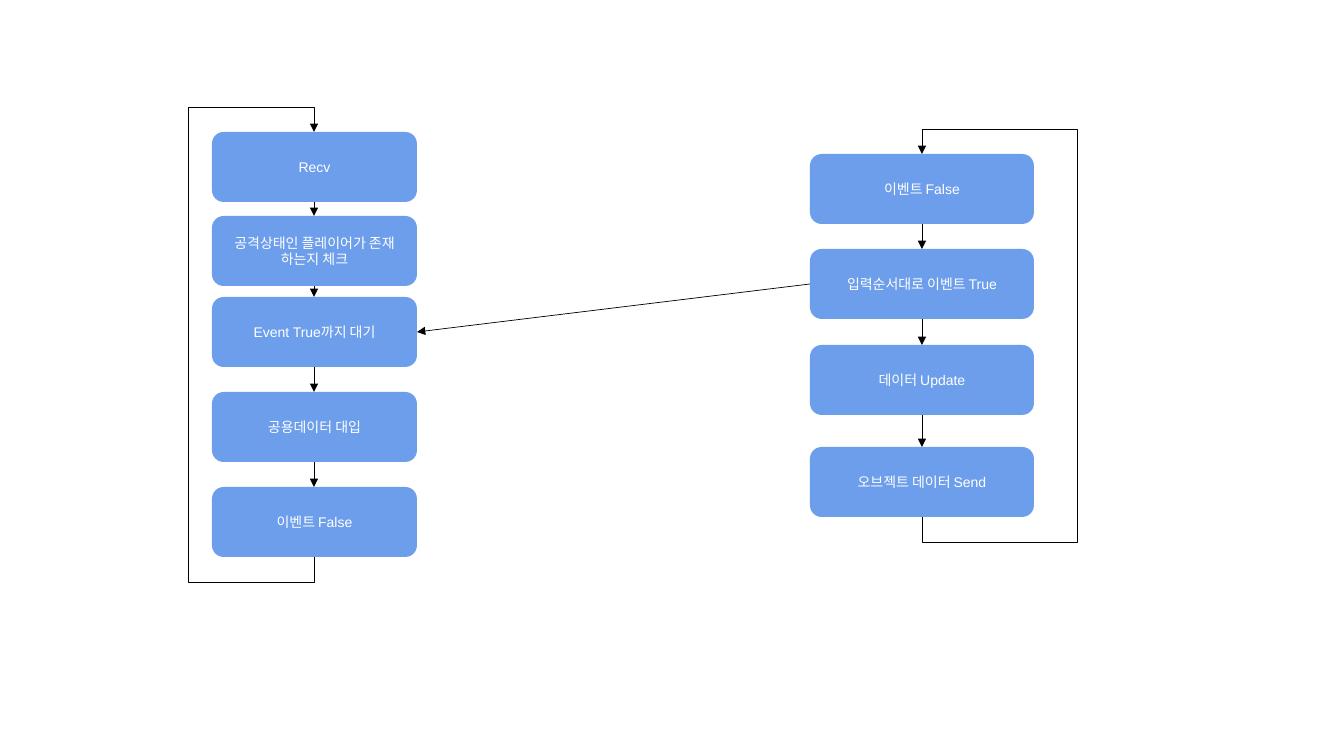
from pptx import Presentation
from pptx.dml.color import RGBColor
from pptx.enum.shapes import MSO_CONNECTOR, MSO_SHAPE
from pptx.enum.text import MSO_ANCHOR, PP_ALIGN
from pptx.oxml.ns import qn
from pptx.util import Emu, Pt
from lxml import etree

ROUNDED = MSO_SHAPE.ROUNDED_RECTANGLE
STRAIGHT = MSO_CONNECTOR.STRAIGHT
MIDDLE = MSO_ANCHOR.MIDDLE
CENTER = PP_ALIGN.CENTER

PIXEL = 914400 / 100.8
PAGE_SIZE = (1344, 756)
STEP_HEIGHT = 70
PADDING = 10
LOOP_GAP = 25

THEME = {
    "step": RGBColor(0x6D, 0x9E, 0xEB),
    "text": RGBColor(0xFF, 0xFF, 0xFF),
    "line": RGBColor(0, 0, 0),
    "font": "Arial",
    "size": Pt(10),
    "line_width": Pt(0.5),
}

# Each flow: left edge, width, x of its return loop, and steps as (top, text)
FLOWS = {
    "receive": {
        "left": 212, "width": 205, "loop_x": 188,
        "steps": [
            (132, "Recv"),
            (216, "공격상태인 플레이어가 존재\n하는지 체크"),
            (297, "Event True까지 대기"),
            (392, "공용데이터 대입"),
            (487, "이벤트 False"),
        ],
    },
    "send": {
        "left": 810, "width": 224, "loop_x": 1077,
        "steps": [
            (154, "이벤트 False"),
            (249, "입력순서대로 이벤트 True"),
            (345, "데이터 Update"),
            (447, "오브젝트 데이터 Send"),
        ],
    },
}
SIGNAL = {"from": ("send", 1), "to": ("receive", 2)}


def emu(pixels):
    """Turn pixels into EMU."""
    return Emu(round(pixels * PIXEL))


def set_all(target, values):
    """Set every attribute named in a dict."""
    for name, value in values.items():
        setattr(target, name, value)


def add_step(page, left, top, width, text):
    """Add one rounded step box with centred text."""
    box = page.shapes.add_shape(
        ROUNDED, emu(left), emu(top), emu(width), emu(STEP_HEIGHT))
    box.shadow.inherit = False
    box.fill.solid()
    box.fill.fore_color.rgb = THEME["step"]
    box.line.fill.background()
    frame = box.text_frame
    frame.text = text
    margins = ("margin_left", "margin_top", "margin_right", "margin_bottom")
    set_all(frame, dict.fromkeys(margins, emu(PADDING)))
    set_all(frame, {"word_wrap": True, "vertical_anchor": MIDDLE})
    for para in frame.paragraphs:
        para.alignment = CENTER
        set_all(para.font, {"name": THEME["font"], "size": THEME["size"]})
        para.font.color.rgb = THEME["text"]


def style_arrow(arrow):
    """Give a line its colour, width and arrowhead, without a shadow."""
    arrow.line.color.rgb = THEME["line"]
    arrow.line.width = THEME["line_width"]
    properties = arrow._element.spPr
    head = etree.SubElement(properties.find(qn("a:ln")), qn("a:tailEnd"))
    head.set("type", "triangle")
    if properties.find(qn("a:effectLst")) is None:
        etree.SubElement(properties, qn("a:effectLst"))


def add_arrow(page, start, end):
    """Add a straight arrow between two points."""
    points = [emu(value) for value in (*start, *end)]
    style_arrow(page.shapes.add_connector(STRAIGHT, *points))


def add_loop(page, center, top, bottom, loop_x):
    """Add the arrow that returns from the last step to the first."""
    builder = page.shapes.build_freeform(center, bottom, scale=PIXEL)
    low, high = bottom + LOOP_GAP, top - LOOP_GAP
    corners = [(center, low), (loop_x, low), (loop_x, high),
               (center, high), (center, top)]
    builder.add_line_segments(corners, close=False)
    loop = builder.convert_to_shape()
    loop.fill.background()
    style_arrow(loop)


def add_flow(page, flow):
    """Add a column of steps, the arrows between them and the loop."""
    left, width, steps = flow["left"], flow["width"], flow["steps"]
    center = left + width // 2
    tops = [top for top, _ in steps]
    for top, text in steps:
        add_step(page, left, top, width, text)
    for upper, lower in zip(tops, tops[1:]):
        add_arrow(page, (center, upper + STEP_HEIGHT), (center, lower))
    add_loop(page, center, tops[0], tops[-1] + STEP_HEIGHT, flow["loop_x"])


def step_middle(flow, index):
    """Return the height of the middle of a step."""
    return flow["steps"][index][0] + STEP_HEIGHT // 2


def add_signal(page):
    """Add the arrow from the sending flow to the waiting step."""
    (source_name, source_step), (target_name, target_step) = SIGNAL.values()
    source, target = FLOWS[source_name], FLOWS[target_name]
    add_arrow(page,
              (source["left"], step_middle(source, source_step)),
              (target["left"] + target["width"],
               step_middle(target, target_step)))


deck = Presentation()
deck.slide_width, deck.slide_height = map(emu, PAGE_SIZE)
page = deck.slides.add_slide(deck.slide_layouts[6])
for flow in FLOWS.values():
    add_flow(page, flow)
add_signal(page)
deck.save("out.pptx")
